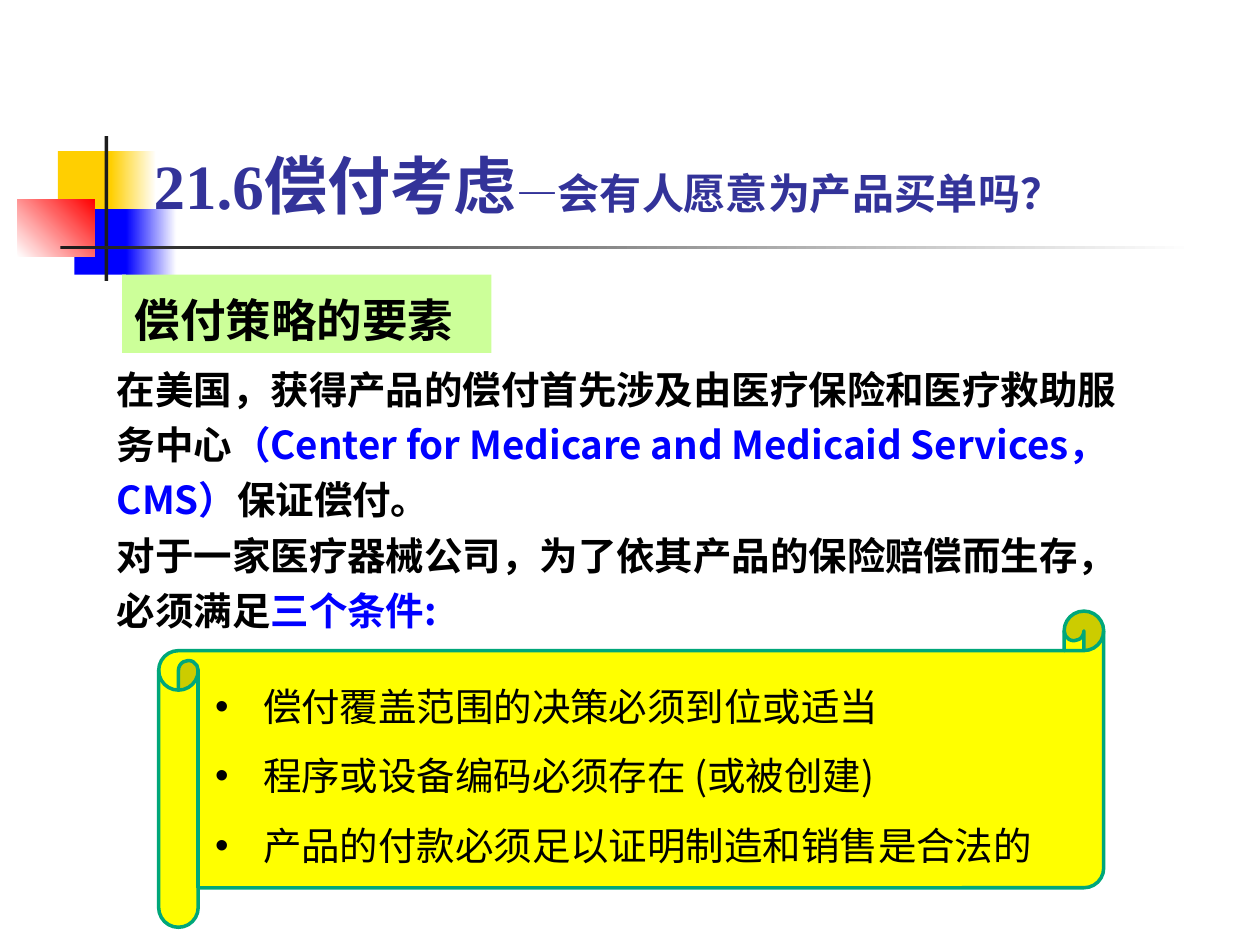
from lxml.etree import SubElement
from pptx import Presentation
from pptx.dml.color import RGBColor
from pptx.enum.shapes import MSO_SHAPE
from pptx.enum.text import MSO_ANCHOR, PP_ALIGN
from pptx.oxml.ns import qn
from pptx.util import Inches, Pt

GOLD = RGBColor(0xFF, 0xCF, 0x01)
BLUE = RGBColor(0x00, 0x00, 0xFF)
RED = RGBColor(0xFF, 0x00, 0x00)
WHITE = RGBColor(0xFF, 0xFF, 0xFF)
INK = RGBColor(0x1C, 0x1C, 0x1C)
BLACK = RGBColor(0x00, 0x00, 0x00)
NAVY = RGBColor(0x33, 0x33, 0x99)
LIME = RGBColor(0xCC, 0xFF, 0x99)
YELLOW = RGBColor(0xFF, 0xFF, 0x00)
GREEN = RGBColor(0x00, 0xA7, 0x7A)

SANS, SERIF = "Noto Sans CJK SC", "Times New Roman"

# Box in inches, colours from start to end, angle counted anticlockwise
DECOR = [
    ((0.46, 1.2, 0.48, 0.52), [GOLD], 0),
    ((0.88, 1.2, 0.36, 0.52), [GOLD, WHITE], 0),
    ((0.59, 1.66, 0.46, 0.52), [BLUE], 0),
    ((1, 1.66, 0.4, 0.52), [BLUE, WHITE], 0),
    ((0.14, 1.58, 0.61, 0.46), [WHITE, RED], 45),
    ((0.83, 1.08, 0.03, 1.15), [INK], 0),
    ((0.48, 1.95, 9, 0.03), [INK, WHITE], 0),
]

# Each paragraph is a list of runs: text, size, colour
TITLE = [[("21.6偿付考虑", 36, NAVY), ("—会有人愿意为产品买单吗？", 24, NAVY)]]
HEAD = [[("偿付策略的要素", 26, BLACK)]]
BODY = [
    [("在美国，获得产品的偿付首先涉及由医疗保险和医疗救助服务中心", 22, BLACK),
     ("（Center for Medicare and Medicaid Services，CMS）", 22, BLUE),
     ("保证偿付。", 22, BLACK)],
    [("对于一家医疗器械公司，为了依其产品的保险赔偿而生存，必须满足", 22, BLACK),
     ("三个条件:", 22, BLUE)],
]
TERMS = [[(text, 22, BLACK)] for text in (
    "偿付覆盖范围的决策必须到位或适当",
    "程序或设备编码必须存在 (或被创建)",
    "产品的付款必须足以证明制造和销售是合法的",
)]


def inches(box):
    return [Inches(n) for n in box]


def add_block(shapes, kind, box, hues, angle=0):
    """Add a shape with a plain fill for one colour, a gradient for two."""
    block = shapes.add_shape(kind, *inches(box))
    block.shadow.inherit = False
    block.line.fill.background()
    fill = block.fill
    if len(hues) == 1:
        fill.solid()
        fill.fore_color.rgb = hues[0]
    else:
        fill.gradient()
        fill.gradient_angle = angle
        for stop, hue, spot in zip(fill.gradient_stops, hues, (0, 1)):
            stop.color.rgb, stop.position = hue, spot
    return block


def add_bullet(para):
    props = para._p.get_or_add_pPr()
    props.set("marL", str(Inches(0.38)))
    props.set("indent", str(-Inches(0.38)))
    tint = SubElement(props, qn("a:buClr"))
    SubElement(tint, qn("a:srgbClr")).set("val", str(BLACK))
    SubElement(props, qn("a:buFont")).set("typeface", "Arial")
    SubElement(props, qn("a:buChar")).set("char", "•")


def write(shape, paras, face, bold, anchor=MSO_ANCHOR.TOP, bullet=False, **form):
    frame = shape.text_frame
    frame.word_wrap = True
    frame.vertical_anchor = anchor
    for i, runs in enumerate(paras):
        para = frame.add_paragraph() if i else frame.paragraphs[0]
        for name, value in {"alignment": PP_ALIGN.LEFT, **form}.items():
            setattr(para, name, value)
        if bullet:
            add_bullet(para)
        for text, size, hue in runs:
            run = para.add_run()
            run.text = text
            look = {"size": Pt(size), "bold": bold, "name": face}
            for name, value in look.items():
                setattr(run.font, name, value)
            run.font.color.rgb = hue
            asian = SubElement(run._r.get_or_add_rPr(), qn("a:ea"))
            asian.set("typeface", SANS)


def main():
    deck = Presentation()
    deck.slide_width, deck.slide_height = inches((10, 7.5))
    slide = deck.slides.add_slide(deck.slide_layouts[5])
    shapes = slide.shapes

    for box, hues, angle in DECOR:
        add_block(shapes, MSO_SHAPE.RECTANGLE, box, hues, angle)

    title = shapes.title
    title.left, title.top, title.width, title.height = inches((1.12, 0.89, 7.78, 0.92))
    shapes._spTree.append(title._element)  # bring in front of the decor
    write(title, TITLE, SERIF, True, MSO_ANCHOR.BOTTOM)

    head = add_block(shapes, MSO_SHAPE.RECTANGLE, (0.97, 2.18, 2.93, 0.62), [LIME])
    write(head, HEAD, SERIF, True, line_spacing=1.2, space_after=Pt(10))

    body = shapes.add_textbox(*inches((0.83, 2.78, 8.33, 2.3)))
    write(body, BODY, SANS, True, line_spacing=1.2)

    group = shapes.add_group_shape().shapes
    scroll = add_block(group, MSO_SHAPE.HORIZONTAL_SCROLL, (1.26, 4.85, 7.5, 2.51), [YELLOW])
    scroll.line.color.rgb = GREEN
    scroll.line.width = Pt(2)
    terms = group.add_textbox(*inches((1.61, 5.19, 6.98, 1.75)))
    write(terms, TERMS, SANS, False, bullet=True, line_spacing=1.5)

    deck.save("out.pptx")


if __name__ == "__main__":
    main()
